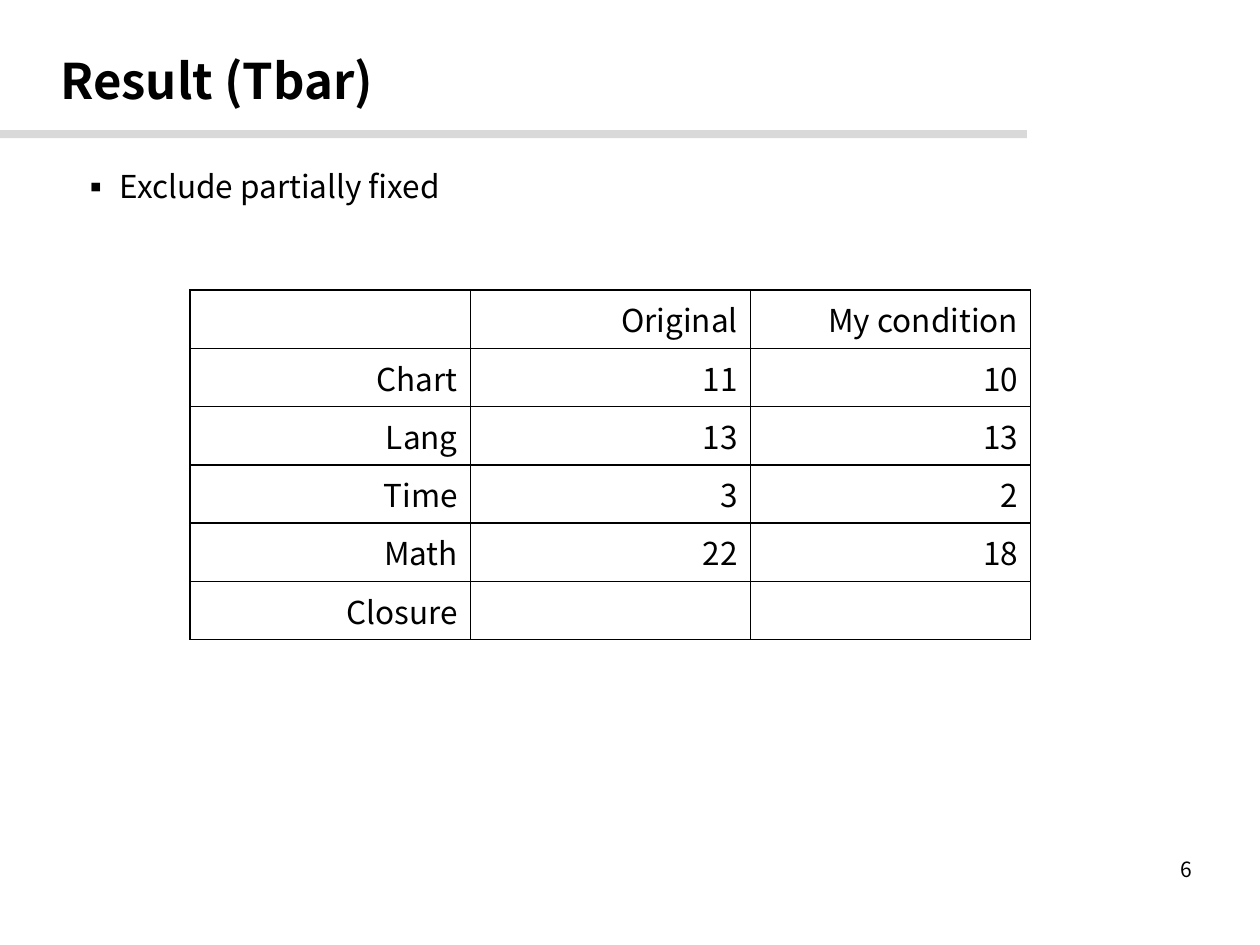
from dataclasses import dataclass

from lxml import etree
from pptx import Presentation
from pptx import util as u
from pptx.dml.color import RGBColor
from pptx.enum import shapes, text
from pptx.oxml.ns import qn


@dataclass(frozen=True)
class Theme:
    font: str = "Noto Sans CJK KR"
    ink: str = "000000"
    rule: str = "D9D9D9"
    title: int = 28
    body: int = 18
    number: int = 12
    border: int = 1
    inset: float = 0.05


THEME = Theme()
WIDTH, HEIGHT = 10, 7.5
RESULTS = [
    ("", "Original", "My condition"),
    ("Chart", "11", "10"),
    ("Lang", "13", "13"),
    ("Time", "3", "2"),
    ("Math", "22", "18"),
    ("Closure", "", ""),
]


def place(shape, box):
    shape.left, shape.top, shape.width, shape.height = map(u.Inches, box)


def write(frame, words, size=THEME.body, bold=False, align=text.PP_ALIGN.LEFT,
          anchor=text.MSO_ANCHOR.TOP, inset=THEME.inset, bullet=None, indent=0.31):
    frame.word_wrap = True
    frame.vertical_anchor = anchor
    frame.margin_left = frame.margin_right = u.Inches(inset)
    frame.margin_top = frame.margin_bottom = u.Inches(THEME.inset)
    frame.text = words
    paragraph = frame.paragraphs[0]
    paragraph.alignment = align
    paragraph.space_before = u.Pt(0)
    if bullet:
        properties = paragraph._p.get_or_add_pPr()
        properties.set("marL", str(u.Inches(indent)))
        properties.set("indent", str(-u.Inches(indent)))
        etree.SubElement(properties, qn("a:buFont"), typeface=THEME.font)
        etree.SubElement(properties, qn("a:buChar"), char=bullet)
    paragraph.font.name = THEME.font
    paragraph.font.size = u.Pt(size)
    paragraph.font.bold = bold
    paragraph.font.color.rgb = RGBColor.from_string(THEME.ink)


def border_cell(cell):
    properties = cell._tc.get_or_add_tcPr()
    for position, side in enumerate(("lnL", "lnR", "lnT", "lnB")):
        line = etree.Element(qn(f"a:{side}"), w=str(u.Pt(THEME.border)))
        fill = etree.SubElement(line, qn("a:solidFill"))
        etree.SubElement(fill, qn("a:srgbClr"), val=THEME.ink)
        properties.insert(position, line)


def add_header(slide, box, words):
    left, top, width, height = box
    rule = slide.shapes.add_shape(shapes.MSO_SHAPE.RECTANGLE, 0, 0, 0, 0)
    place(rule, (0, top + 0.81 * height, 0.815 * WIDTH, 0.05 * height))
    rule.shadow.inherit = False
    rule.fill.solid()
    rule.fill.fore_color.rgb = RGBColor.from_string(THEME.rule)
    rule.line.fill.background()
    place(slide.shapes.title, box)
    write(slide.shapes.title.text_frame, words, size=THEME.title, bold=True,
          anchor=text.MSO_ANCHOR.MIDDLE)


def add_list(slide, box, words):
    body = slide.placeholders[1]
    place(body, box)
    write(body.text_frame, words, bullet="▪")


def add_results(slide, box, rows):
    frame = slide.shapes.add_table(len(rows), len(rows[0]), *map(u.Inches, box))
    table = frame.table
    table.first_row = table.horz_banding = False
    for row, values in enumerate(rows):
        for column, value in enumerate(values):
            cell = table.cell(row, column)
            write(cell.text_frame, value, align=text.PP_ALIGN.RIGHT, inset=0.1)
            cell.fill.background()
            border_cell(cell)


def add_number(slide, box, words):
    number = slide.shapes.add_textbox(*map(u.Inches, box))
    write(number.text_frame, words, size=THEME.number, align=text.PP_ALIGN.RIGHT,
          anchor=text.MSO_ANCHOR.MIDDLE)


def main():
    presentation = Presentation()
    presentation.slide_width = u.Inches(WIDTH)
    presentation.slide_height = u.Inches(HEIGHT)
    slide = presentation.slides.add_slide(presentation.slide_layouts[1])
    add_header(slide, (0.043 * WIDTH, 0, 0.883 * WIDTH, 0.17 * HEIGHT), "Result (Tbar)")
    add_list(slide, (0.059 * WIDTH, 0.17 * HEIGHT, 0.677 * WIDTH, 0.054 * HEIGHT),
             "Exclude partially fixed")
    add_results(slide, (0.151 * WIDTH, 0.307 * HEIGHT, 0.667 * WIDTH, 0.324 * HEIGHT), RESULTS)
    add_number(slide, (0.718 * WIDTH, 0.9 * HEIGHT, 0.233 * WIDTH, 0.04 * HEIGHT), "6")
    presentation.save("out.pptx")


if __name__ == "__main__":
    main()
